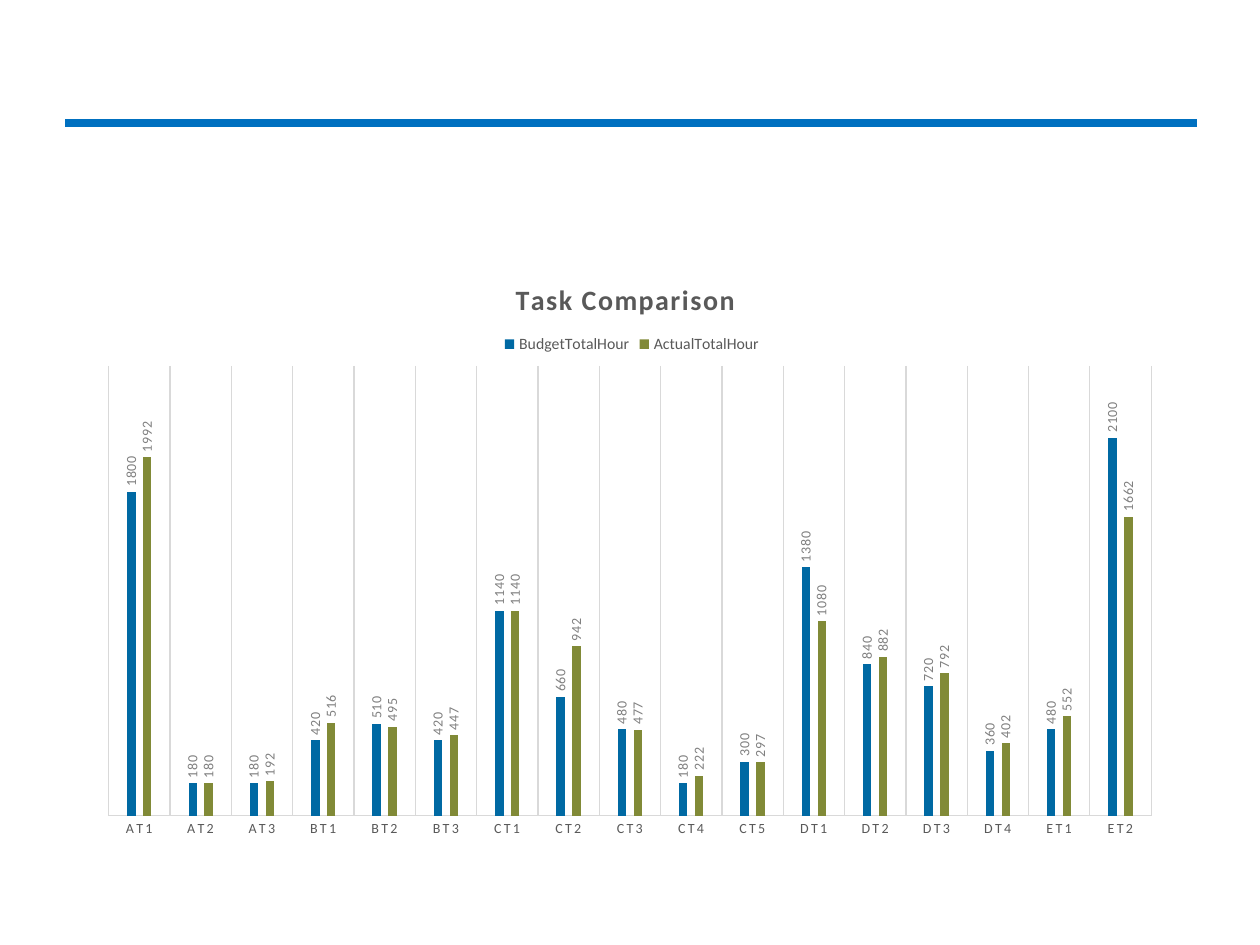
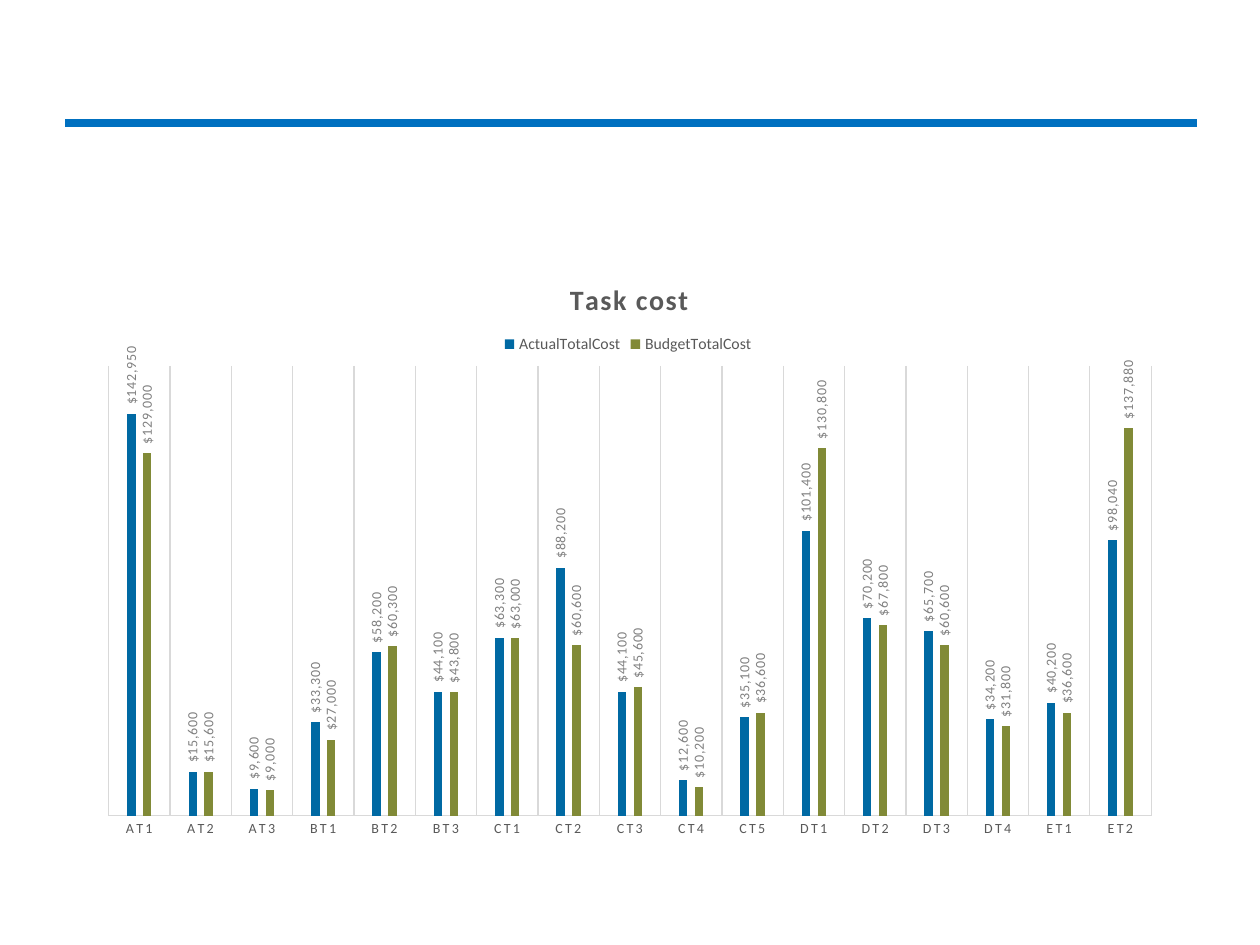
from dataclasses import dataclass

from lxml import etree
from pptx import Presentation
from pptx.chart.data import CategoryChartData
from pptx.dml.color import RGBColor
from pptx.enum.chart import XL_CHART_TYPE, XL_LABEL_POSITION, XL_LEGEND_POSITION, XL_TICK_MARK
from pptx.enum.shapes import MSO_CONNECTOR
from pptx.oxml.ns import qn
from pptx.util import Pt

COLUMNS = XL_CHART_TYPE.COLUMN_CLUSTERED
OUTSIDE_END = XL_LABEL_POSITION.OUTSIDE_END
LEGEND_TOP = XL_LEGEND_POSITION.TOP
NO_TICKS = XL_TICK_MARK.NONE
STRAIGHT = MSO_CONNECTOR.STRAIGHT

FONT = "Calibri"
RULE_COLOR = "0070C0"
TEXT_COLOR = "595959"
LABEL_COLOR = "808080"
GRID_COLOR = "D9D9D9"
SERIES_COLORS = ("0069A3", "818A37")
DOLLARS = '_("$"* #,##0_);_("$"* \\(#,##0\\)'
TASK_COUNTS = {"A": 3, "B": 3, "C": 5, "D": 4, "E": 2}
TASKS = [f"{group}T{i}" for group, count in TASK_COUNTS.items() for i in range(1, count + 1)]


@dataclass
class TaskChart:
    title: str
    title_x: float
    axis_max: int
    number_format: str
    series: dict[str, tuple[int, ...]]


TASK_CHARTS = (
    TaskChart("Task Comparison", 0.39, 2500, "General", {
        "BudgetTotalHour": (1800, 180, 180, 420, 510, 420, 1140, 660, 480, 180, 300,
                            1380, 840, 720, 360, 480, 2100),
        "ActualTotalHour": (1992, 180, 192, 516, 495, 447, 1140, 942, 477, 222, 297,
                            1080, 882, 792, 402, 552, 1662),
    }),
    TaskChart("Task cost", 0.44, 160000, DOLLARS, {
        "ActualTotalCost": (142950, 15600, 9600, 33300, 58200, 44100, 63300, 88200, 44100,
                            12600, 35100, 101400, 70200, 65700, 34200, 40200, 98040),
        "BudgetTotalCost": (129000, 15600, 9000, 27000, 60300, 43800, 63000, 60600, 45600,
                            10200, 36600, 130800, 67800, 60600, 31800, 36600, 137880),
    }),
)


def rgb(color: str) -> RGBColor:
    return RGBColor.from_string(color)


def set_font(font, size: float, color: str, spacing: int = 0, bold: bool = False) -> None:
    for name, value in {"name": FONT, "size": Pt(size), "bold": bold}.items():
        setattr(font, name, value)
    font.color.rgb = rgb(color)
    font._element.set("spc", str(spacing))


def set_line(line, color: str, width: float) -> None:
    line.color.rgb = rgb(color)
    line.width = Pt(width)


def place(el, index: int, **fractions: float) -> None:
    for old in el.findall(qn("c:layout")):
        el.remove(old)
    layout = etree.Element(qn("c:layout"))
    manual = etree.SubElement(layout, qn("c:manualLayout"))
    if "w" in fractions:
        etree.SubElement(manual, qn("c:layoutTarget"), val="inner")
    for axis in "xy":
        etree.SubElement(manual, qn(f"c:{axis}Mode"), val="edge")
    for name, value in fractions.items():
        etree.SubElement(manual, qn(f"c:{name}"), val=str(value))
    el.insert(index, layout)


def add_rule(s) -> None:
    rule = s.shapes.add_connector(STRAIGHT, Pt(37.4), Pt(70.5), Pt(684), Pt(70.5))
    set_line(rule.line, RULE_COLOR, 4.5)
    etree.SubElement(rule._element.spPr, qn("a:effectLst"))


def format_axes(chart, axis_max: int) -> None:
    tasks = chart.category_axis
    tasks.has_major_gridlines = True
    tasks.major_tick_mark = tasks.minor_tick_mark = NO_TICKS
    set_font(tasks.tick_labels.font, 8, TEXT_COLOR, spacing=120)
    for line in (tasks.format.line, tasks.major_gridlines.format.line):
        set_line(line, GRID_COLOR, 0.75)
    values = chart.value_axis
    settings = {"visible": False, "has_major_gridlines": False,
                "minimum_scale": 0, "maximum_scale": axis_max}
    for name, value in settings.items():
        setattr(values, name, value)


def format_series(series, color: str, number_format: str) -> None:
    series.format.fill.solid()
    series.format.fill.fore_color.rgb = rgb(color)
    series.invert_if_negative = False
    labels = series.data_labels
    settings = {"show_value": True, "position": OUTSIDE_END,
                "number_format": number_format, "number_format_is_linked": False}
    for name, value in settings.items():
        setattr(labels, name, value)
    set_font(labels.font, 8, LABEL_COLOR, spacing=30)
    body = labels._element.find(".//" + qn("a:bodyPr"))
    body.set("rot", "-5400000")
    body.set("vert", "horz")


def add_task_chart(s, task_chart: TaskChart) -> None:
    data = CategoryChartData(number_format=task_chart.number_format)
    data.categories = TASKS
    for name, values in task_chart.series.items():
        data.add_series(name, values)
    frame = s.shapes.add_chart(COLUMNS, Pt(49.7), Pt(144), Pt(620.6), Pt(342.7), data)
    chart = frame.chart
    set_font(chart.font, 10, "000000")

    chart.has_title = True
    p = chart.chart_title.text_frame.paragraphs[0]
    r = p.add_run()
    r.text = task_chart.title
    set_font(r.font, 16, TEXT_COLOR, spacing=100, bold=True)
    chart.chart_title.include_in_layout = False
    place(chart.chart_title._element, 1, x=task_chart.title_x, y=0.04)

    chart.has_legend = True
    legend = chart.legend
    legend.position = LEGEND_TOP
    legend.include_in_layout = False
    set_font(legend.font, 9, TEXT_COLOR)
    place(legend._element, 1, x=0.38, y=0.13)

    plot = chart.plots[0]
    plot.gap_width = 444
    plot.overlap = -90
    plot.vary_by_categories = False
    place(plot._element.getparent(), 0, x=0.02, y=0.19, w=0.96, h=0.75)
    format_axes(chart, task_chart.axis_max)
    for series, color in zip(plot.series, SERIES_COLORS):
        format_series(series, color, task_chart.number_format)


def main() -> None:
    prs = Presentation()
    prs.slide_width, prs.slide_height = Pt(720), Pt(540)
    blank = prs.slide_layouts.get_by_name("Blank")
    for task_chart in TASK_CHARTS:
        s = prs.slides.add_slide(blank)
        add_rule(s)
        add_task_chart(s, task_chart)
    prs.save("out.pptx")


if __name__ == "__main__":
    main()
